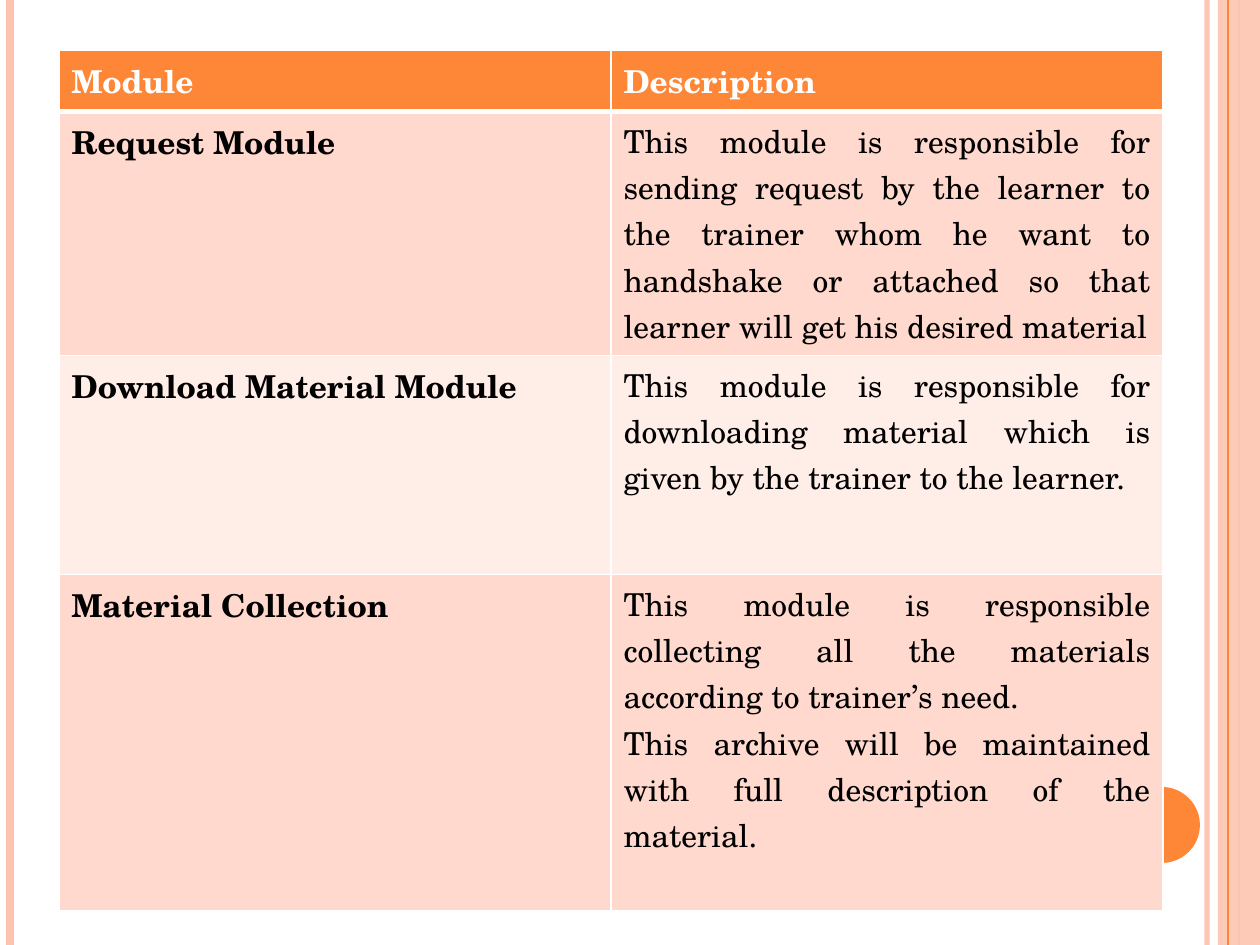
from lxml import etree
from pptx import Presentation, util as u
from pptx.dml.color import RGBColor
from pptx.enum import shapes, text
from pptx.oxml import ns

SCALE = 914400 // 126
ORANGE, PEACH, WHITE, BLACK = "FE8637", "FEC3AE", "FFFFFF", "000000"


def paint(fill, color, opacity=100):
    """Give a fill a solid colour and, if needed, transparency in percent."""
    fill.solid()
    fill.fore_color.rgb = RGBColor.from_string(color)
    if opacity < 100:
        rgb = next(fill._xPr.iter(ns.qn("a:srgbClr")))
        etree.SubElement(rgb, ns.qn("a:alpha"), val=str(opacity * 1000))


def border(cell, side, points):
    """Add a white border to one side of a cell, ahead of its fill."""
    properties = cell._tc.get_or_add_tcPr()
    line = etree.Element(ns.qn(f"a:ln{side}"), w=str(u.Pt(points)))
    solid = etree.SubElement(line, ns.qn("a:solidFill"))
    etree.SubElement(solid, ns.qn("a:srgbClr"), val=WHITE)
    properties.insert("LRTB".index(side), line)


presentation = Presentation()
presentation.slide_width = 1260 * SCALE
presentation.slide_height = 945 * SCALE
slide = presentation.slides.add_slide(presentation.slide_layouts[6])

# Side decoration: shape, geometry, colour, opacity
decorations = [
    (shapes.MSO_SHAPE.RECTANGLE, (1218, 0, 42, 945), PEACH, 87),
    (shapes.MSO_SHAPE.OVAL, (1124, 787, 76, 76), ORANGE, 100),
]
for kind, box, color, opacity in decorations:
    shape = slide.shapes.add_shape(kind, *(side * SCALE for side in box))
    shape.shadow.inherit = False
    paint(shape.fill, color, opacity)
    shape.line.fill.background()

# Vertical rules: x, colour, width, opacity
rules = [
    (1207, PEACH, 3, 93),
    (10, PEACH, 4.5, 100),
    (1228, ORANGE, 1.5, 100),
    (1239, PEACH, 0.75, 100),
]
for x, color, width, opacity in rules:
    rule = slide.shapes.add_connector(
        shapes.MSO_CONNECTOR.STRAIGHT, x * SCALE, 0, x * SCALE, 945 * SCALE)
    rule.line.width = u.Pt(width)
    paint(rule.line.fill, color, opacity)
    etree.SubElement(rule._element.spPr, ns.qn("a:effectLst"))

# Module table: row height, fill, module, description
rows = [
    (60, ORANGE, "Module", "Description"),
    (244, "FFD9CE", "Request Module",
     "This module is responsible for sending request by the learner to the "
     "trainer whom he want to handshake or attached so that learner will get "
     "his desired material"),
    (219, "FFEDE8", "Download Material Module",
     "This module is responsible for downloading material which is given by "
     "the trainer to the learner."),
    (336, "FFD9CE", "Material Collection",
     "This module is responsible collecting all the materials according to "
     "trainer’s need.\n"
     "This archive will be maintained with full description of the material."),
]
height = sum(row[0] for row in rows)
table = slide.shapes.add_table(
    len(rows), 2, 59 * SCALE, 50 * SCALE, 1104 * SCALE, height * SCALE).table
for row_index, (row_height, color, *contents) in enumerate(rows):
    table.rows[row_index].height = row_height * SCALE
    header = row_index == 0
    for column_index, content in enumerate(contents):
        cell = table.cell(row_index, column_index)
        cell.text = content
        paint(cell.fill, color)
        for side in "LRTB":
            thick = (header and side == "B") or (row_index == 1 and side == "T")
            border(cell, side, 3 if thick else 1)
        description = column_index == 1 and not header
        font_format = {"name": "TeX Gyre Schola", "size": u.Pt(18),
                       "bold": not description}
        for paragraph in cell.text_frame.paragraphs:
            if description:
                paragraph.alignment = text.PP_ALIGN.JUSTIFY
            for run in paragraph.runs:
                for name, value in font_format.items():
                    setattr(run.font, name, value)
                paint(run.font.fill, WHITE if header else BLACK)

presentation.save("out.pptx")
